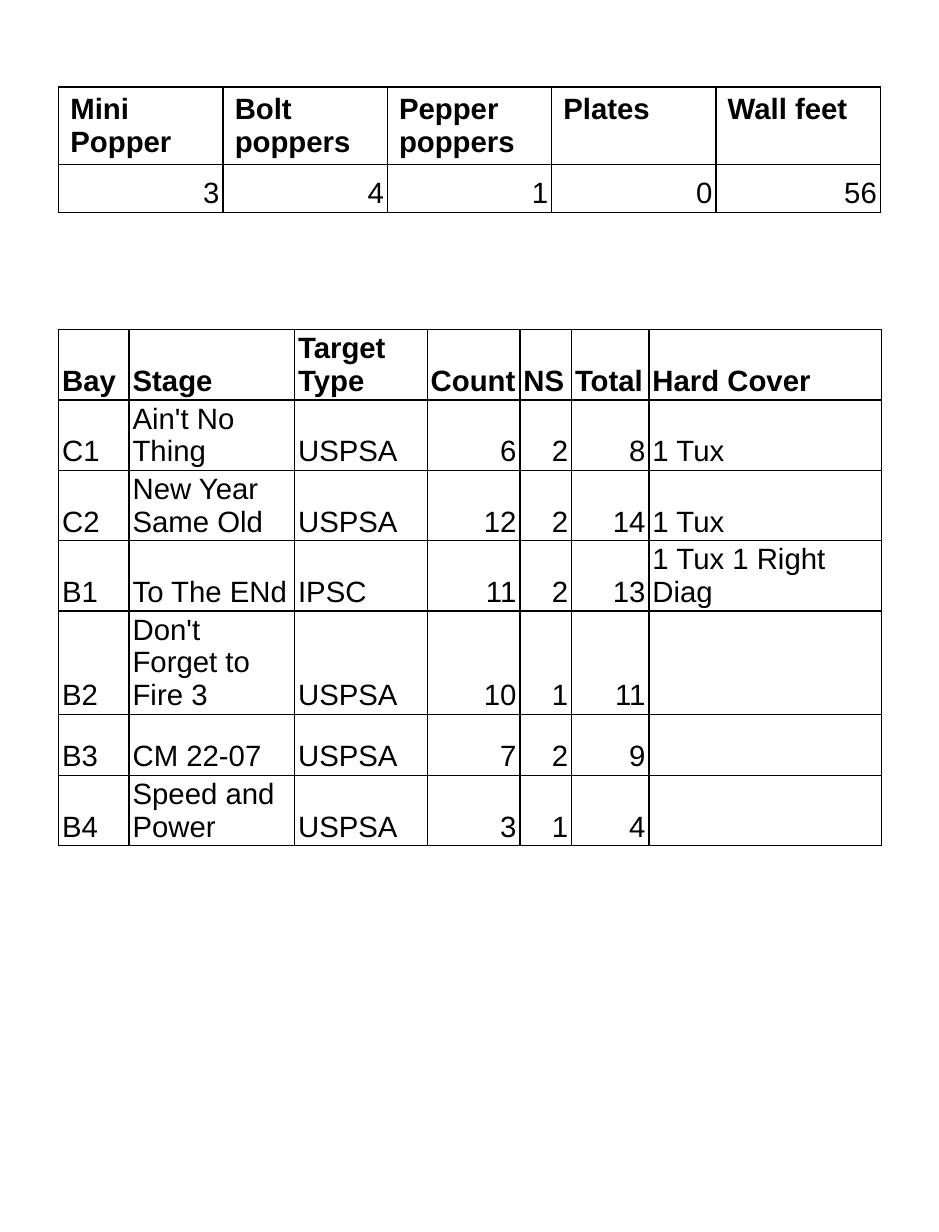
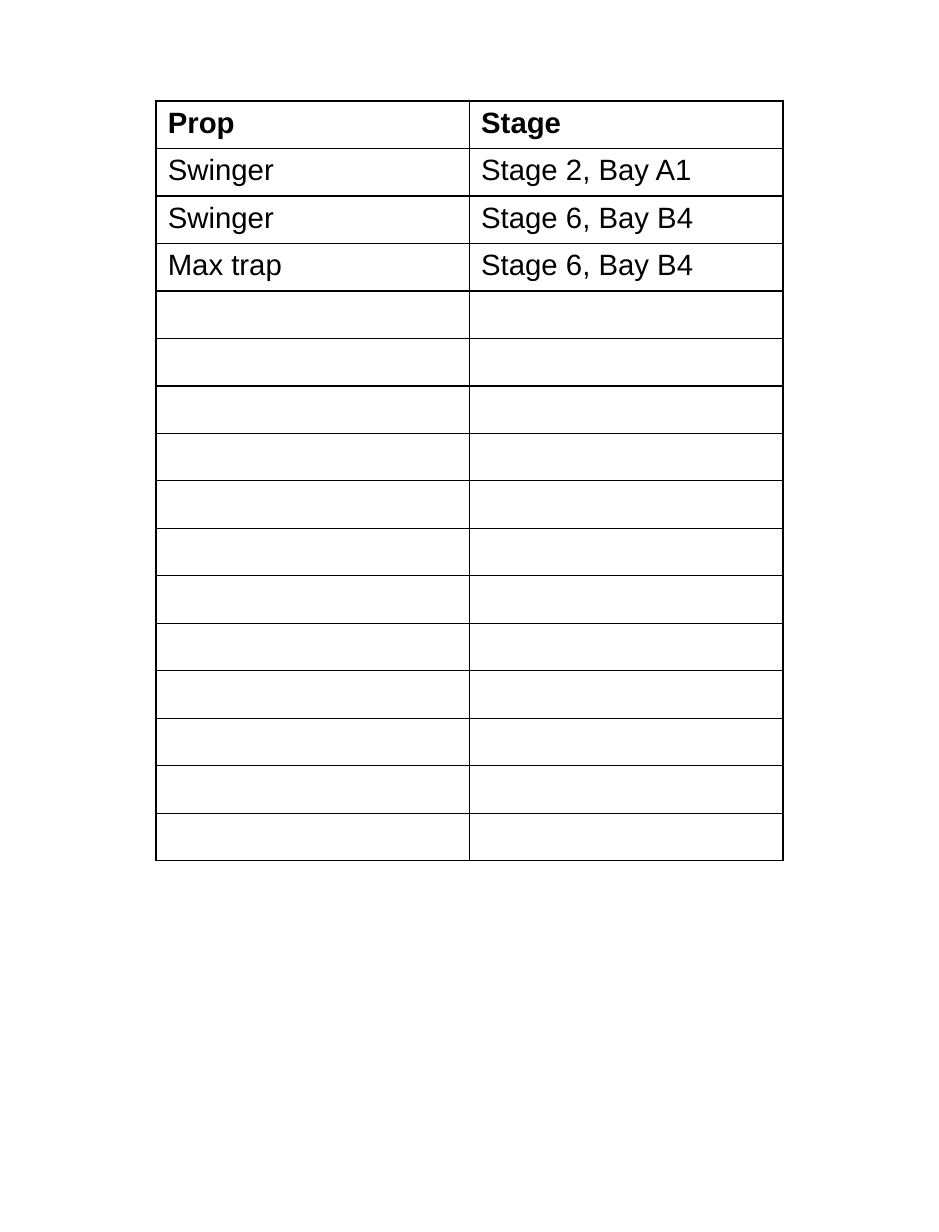
from lxml.etree import SubElement
from pptx import Presentation
from pptx.dml.color import RGBColor
from pptx.enum.text import MSO_ANCHOR as Anchor, PP_ALIGN as Align
from pptx.oxml.ns import qn
from pptx.util import Inches, Pt

INK, PAPER = "000000", "FFFFFF"
FONT, TEXT_SIZE, BORDER_WIDTH = "Arial", Pt(18), Pt(1)

EQUIPMENT = [
    ["Mini Popper", "Bolt poppers", "Pepper poppers", "Plates", "Wall feet"],
    ["3", "4", "1", "0", "56"],
]
TARGETS = [
    ["Bay", "Stage", "Target Type", "Count", "NS", "Total", "Hard Cover"],
    ["C1", "Ain't No Thing", "USPSA", "6", "2", "8", "1 Tux"],
    ["C2", "New Year Same Old", "USPSA", "12", "2", "14", "1 Tux"],
    ["B1", "To The ENd", "IPSC", "11", "2", "13", "1 Tux 1 Right Diag"],
    ["B2", "Don't Forget to Fire 3", "USPSA", "10", "1", "11", ""],
    ["B3", "CM 22-07", "USPSA", "7", "2", "9", ""],
    ["B4", "Speed and Power", "USPSA", "3", "1", "4", ""],
]
PROPS = [
    ["Prop", "Stage"],
    ["Swinger", "Stage 2, Bay A1"],
    ["Swinger", "Stage 6, Bay B4"],
    ["Max trap", "Stage 6, Bay B4"],
] + [["", ""]] * 12


def paint(fill, colour):
    fill.solid()
    fill.fore_color.rgb = RGBColor.from_string(colour)


def add_borders(cell):
    properties = cell._tc.get_or_add_tcPr()
    for side in ("lnL", "lnR", "lnT", "lnB"):
        line = SubElement(properties, qn(f"a:{side}"), w=str(BORDER_WIDTH))
        SubElement(SubElement(line, qn("a:solidFill")), qn("a:srgbClr"), val=INK)


def make_compact(cell):
    """Set the text close to the borders, at the foot of the cell."""
    cell.vertical_anchor = Anchor.BOTTOM
    cell.margin_left = cell.margin_right = Inches(0.03)
    cell.margin_top = cell.margin_bottom = Inches(0.02)


def fill_cell(cell, text, bold):
    add_borders(cell)
    paint(cell.fill, PAPER)
    cell.text = text
    para = cell.text_frame.paragraphs[0]
    if text.isdigit():
        para.alignment = Align.RIGHT
    para.font.name, para.font.size, para.font.bold = FONT, TEXT_SIZE, bold
    paint(para.font.fill, INK)


def add_grid(page, rows, left, top, widths, row_height, compact_from):
    """Draw a ruled table whose rows are compact from the given index on."""
    frame = page.shapes.add_table(
        len(rows), len(widths), Inches(left), Inches(top),
        Inches(sum(widths)), Inches(row_height * len(rows)))
    table = frame.table
    table.first_row = table.horz_banding = False
    for column, width in zip(table.columns, widths):
        column.width = Inches(width)
    for row_index, row in enumerate(rows):
        for column_index, text in enumerate(row):
            cell = table.cell(row_index, column_index)
            fill_cell(cell, text, bold=row_index == 0)
            if row_index >= compact_from:
                make_compact(cell)
    return frame


def main():
    deck = Presentation()
    deck.slide_width, deck.slide_height = Inches(8), Inches(10.5)
    blank = deck.slide_layouts[6]

    targets_page = deck.slides.add_slide(blank)
    equipment = add_grid(targets_page, EQUIPMENT, 0.5, 0.74, [1.4] * 5, 0.41, compact_from=1)
    equipment.height = Inches(1.11)
    targets = add_grid(targets_page, TARGETS, 0.5, 2.81,
                       [0.6, 1.41, 1.13, 0.79, 0.44, 0.66, 1.98], 0.52, compact_from=0)
    targets.height = Inches(4.66)

    props_page = deck.slides.add_slide(blank)
    add_grid(props_page, PROPS, 1.33, 0.86, [2.67] * 2, 6.48 / len(PROPS),
             compact_from=len(PROPS))

    deck.save("out.pptx")


if __name__ == "__main__":
    main()
